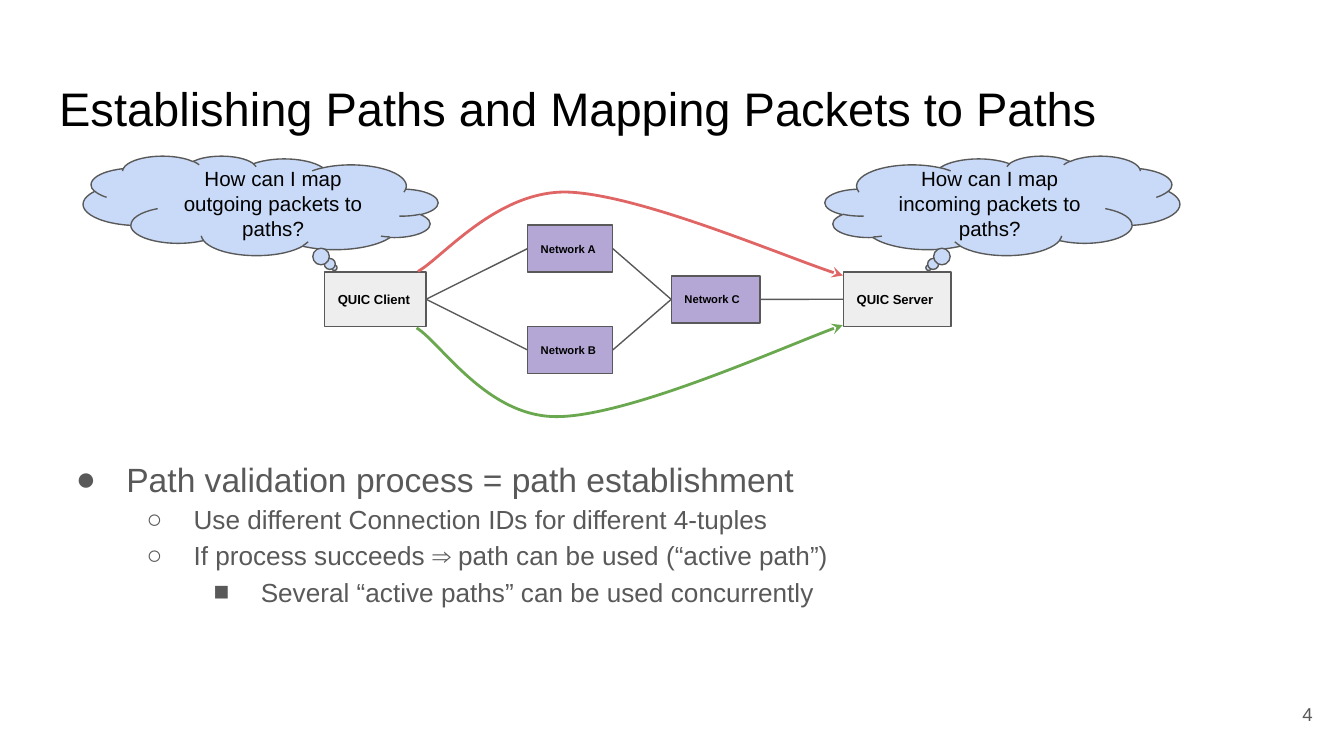
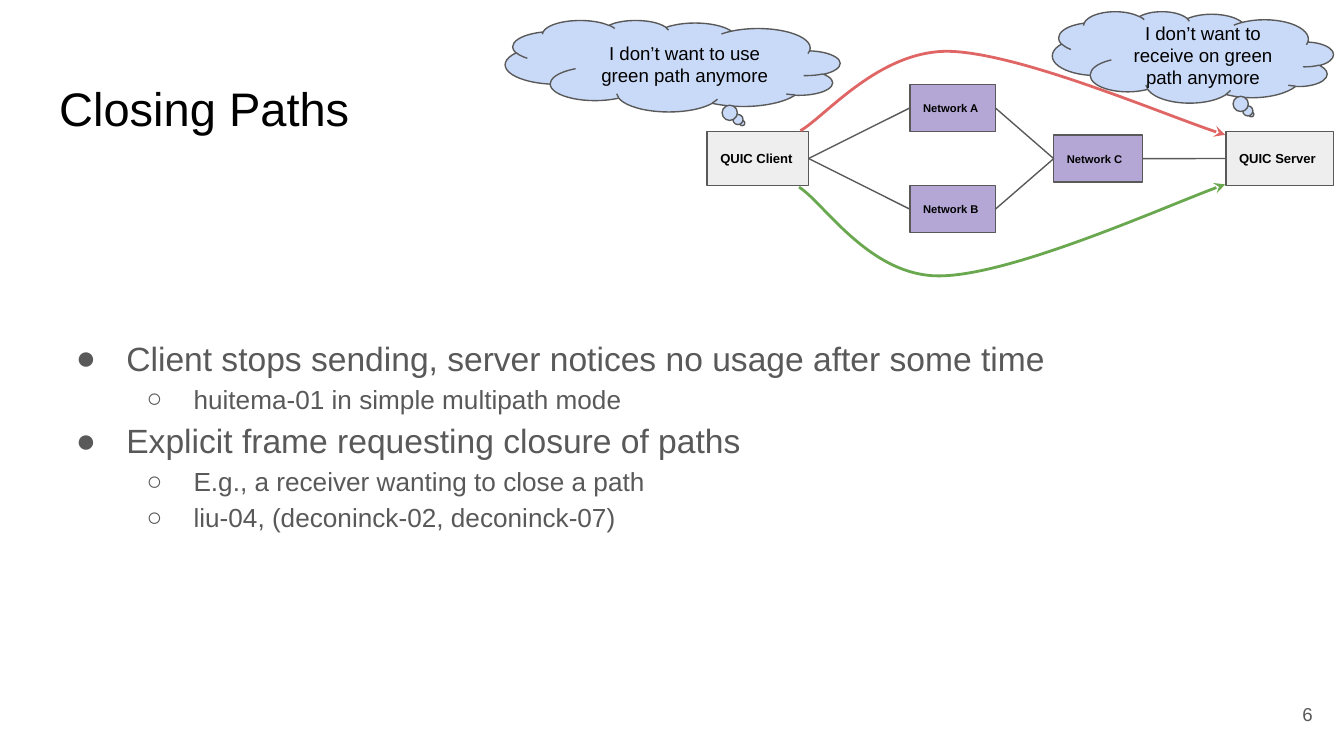
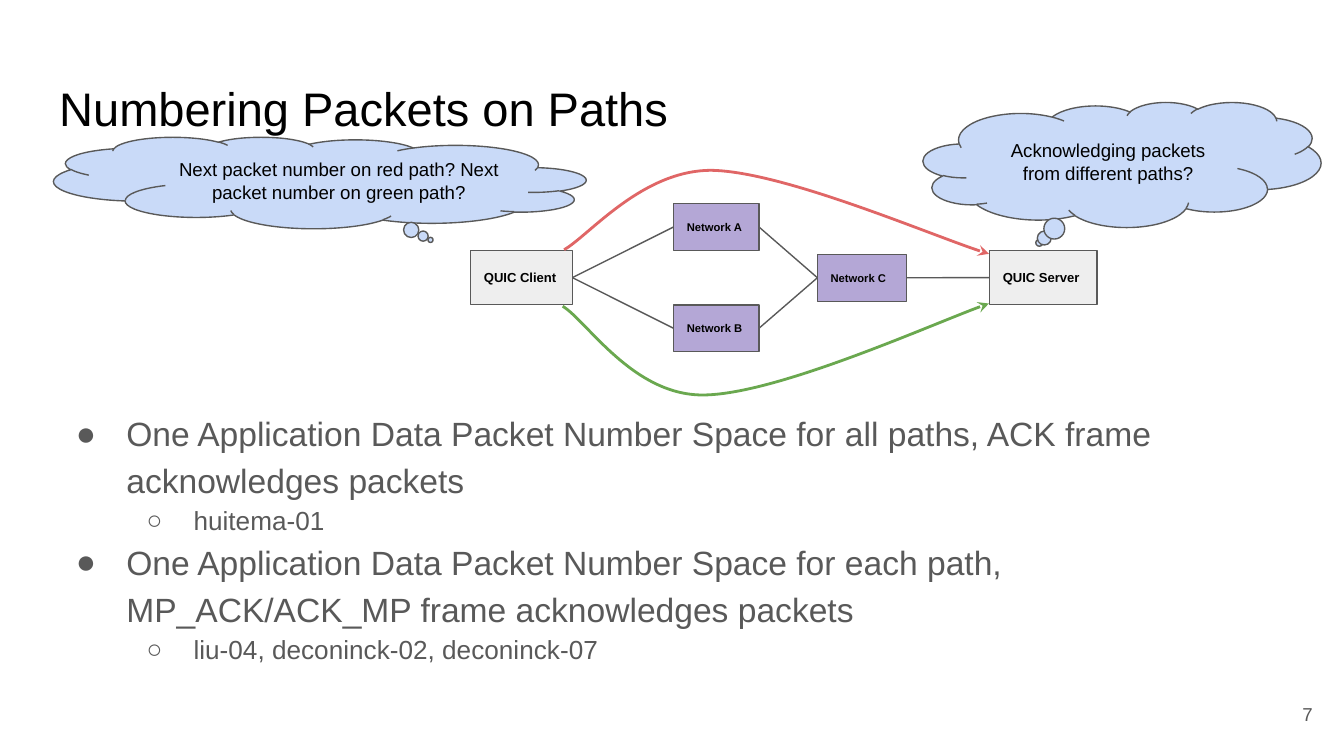
from dataclasses import dataclass
from typing import Any, NamedTuple

from lxml.etree import SubElement
from pptx import Presentation
from pptx.dml.color import RGBColor
from pptx.enum.shapes import MSO_CONNECTOR, MSO_SHAPE
from pptx.enum.text import MSO_ANCHOR, MSO_AUTO_SIZE, PP_ALIGN
from pptx.oxml.ns import qn
from pptx.util import Pt

BLACK = RGBColor(0x00, 0x00, 0x00)
GREY = RGBColor(0x59, 0x59, 0x59)
HOST_FILL = RGBColor(0xEE, 0xEE, 0xEE)
NETWORK_FILL = RGBColor(0xB4, 0xA7, 0xD6)
CLOUD_FILL = RGBColor(0xC9, 0xDA, 0xF8)
RED = RGBColor(0xE0, 0x66, 0x66)
GREEN = RGBColor(0x6A, 0xA8, 0x4F)

FONT = "Arial"
LINE_WIDTH = 0.75
TOP, LEFT, RIGHT = 0, 1, 3
FRAME = {
    "word_wrap": True,
    "auto_size": MSO_AUTO_SIZE.NONE,
    "margin_left": Pt(7.2),
    "margin_right": Pt(7.2),
    "margin_top": Pt(7.2),
    "margin_bottom": Pt(7.2),
}


class Box(NamedTuple):
    x: float
    y: float
    w: float
    h: float


class Level(NamedTuple):
    bullet: str
    size: float
    margin: float
    hanging: float


class Item(NamedTuple):
    level: int
    text: str


@dataclass(frozen=True)
class Node:
    text: str
    box: Box
    fill: RGBColor
    size: float


@dataclass(frozen=True)
class Curve:
    color: RGBColor
    points: tuple[tuple[float, float], ...]


@dataclass(frozen=True)
class Cloud:
    text: str
    box: Box
    size: float = 10
    flipped: bool = True


@dataclass(frozen=True)
class Page:
    number: int
    title: str
    body_top: float
    body_height: float
    items: list[Item]
    origin: tuple[float, float]
    clouds: list[Cloud]


LEVELS = [
    Level("●", 18, 36, 27),
    Level("○", 14, 72, 25.2),
    Level("■", 14, 108, 25.2),
]

NODES = {
    "client": Node("QUIC Client", Box(0, 0, 54.4, 29.1), HOST_FILL, 7),
    "server": Node("QUIC Server", Box(278, 0, 57.6, 29.1), HOST_FILL, 7),
    "a": Node("Network A", Box(108.7, -25.2, 45.7, 25.2), NETWORK_FILL, 6),
    "b": Node("Network B", Box(108.7, 29.1, 45.7, 25.2), NETWORK_FILL, 6),
    "c": Node("Network C", Box(185.7, 2, 47.6, 25.2), NETWORK_FILL, 6),
}
LINKS = [("client", "a"), ("client", "b"), ("a", "c"), ("b", "c"), ("c", "server")]
CURVES = [
    Curve(RED, ((50, -0.4), (63, -7.6), (91.8, -43.2), (129.2, -42.9),
                (167.4, -42.1), (253, -5.4), (277.6, 1.8))),
    Curve(GREEN, ((49.3, 29.9), (62.3, 37.8), (86.8, 77.4), (124.2, 77.4),
                  (162.4, 77.4), (252.4, 37.1), (277.6, 28.4))),
]

PAGES = [
    Page(
        4, "Establishing Paths and Mapping Packets to Paths", 235.4, 149,
        [
            Item(0, "Path validation process = path establishment"),
            Item(1, "Use different Connection IDs for different 4-tuples"),
            Item(1, "If process succeeds ⇒ path can be used (“active path”)"),
            Item(2, "Several “active paths” can be used concurrently"),
        ],
        (173.9, 145.8),
        [
            Cloud("How can I map incoming packets to paths?",
                  Box(442, 83.5, 190, 53.3), 11, False),
            Cloud("How can I map outgoing packets to paths?",
                  Box(44.6, 83.5, 190, 53.3), 11),
        ],
    ),
    Page(
        6, "Closing Paths", 170.6, 216.7,
        [
            Item(0, "Client stops sending, server notices no usage after some time"),
            Item(1, "huitema-01 in simple multipath mode"),
            Item(0, "Explicit frame requesting closure of paths"),
            Item(1, "E.g., a receiver wanting to close a path"),
            Item(1, "liu-04, (deconinck-02, deconinck-07)"),
        ],
        (378.8, 70.4),
        [
            Cloud("I don’t want to use green path anymore",
                  Box(270.7, 10.8, 179.3, 49)),
            Cloud("I don’t want to receive on green path anymore",
                  Box(563.8, 6.1, 150.5, 49)),
        ],
    ),
    Page(
        7, "Numbering Packets on Paths", 211, 167,
        [
            Item(0, "One Application Data Packet Number Space for all paths, "
                    "ACK frame acknowledges packets"),
            Item(1, "huitema-01"),
            Item(0, "One Application Data Packet Number Space for each path, "
                    "MP_ACK/ACK_MP frame acknowledges packets"),
            Item(1, "liu-04, deconinck-02, deconinck-07"),
        ],
        (252.2, 134.2),
        [
            Cloud("Next packet number on red path? Next packet number on green path?",
                  Box(28.8, 73.4, 285.1, 49)),
            Cloud("Acknowledging packets from different paths?",
                  Box(494.6, 54.7, 213.1, 67), flipped=False),
        ],
    ),
]


def apply(target: Any, values: dict[str, Any]) -> None:
    for name, value in values.items():
        setattr(target, name, value)


def points(box: Box) -> list[int]:
    return [Pt(v) for v in box]


def place(sp: Any, box: Box) -> None:
    apply(sp, dict(zip(("left", "top", "width", "height"), points(box))))


def write(p: Any, text: str, size: float, color: RGBColor,
          align: PP_ALIGN = PP_ALIGN.LEFT, bold: bool = False) -> None:
    p.alignment = align
    r = p.add_run()
    r.text = text
    apply(r.font, {"name": FONT, "size": Pt(size), "bold": bold})
    r.font.color.rgb = color


def frame(sp: Any, anchor: MSO_ANCHOR) -> Any:
    tf = sp.text_frame
    apply(tf, {**FRAME, "vertical_anchor": anchor})
    return tf


def stroke(sp: Any, color: RGBColor, width: float = LINE_WIDTH) -> None:
    sp.line.width = Pt(width)
    sp.line.color.rgb = color


def add_filled(shapes: Any, kind: MSO_SHAPE, box: Box, fill: RGBColor) -> Any:
    sp = shapes.add_shape(kind, *points(box))
    sp.shadow.inherit = False
    sp.fill.solid()
    sp.fill.fore_color.rgb = fill
    stroke(sp, GREY)
    return sp


def add_title(s: Any, text: str) -> None:
    sp = s.shapes.title
    place(sp, Box(24.5, 35.3, 671, 45.4))
    write(frame(sp, MSO_ANCHOR.TOP).paragraphs[0], text, 25.2, BLACK)


def add_list(s: Any, page: Page) -> None:
    sp = s.placeholders[1]
    place(sp, Box(24.5, page.body_top, 671, page.body_height))
    tf = frame(sp, MSO_ANCHOR.TOP)
    for i, item in enumerate(page.items):
        level = LEVELS[item.level]
        p = tf.add_paragraph() if i else tf.paragraphs[0]
        apply(p, {"level": item.level, "line_spacing": 1.15,
                  "space_before": Pt(0), "space_after": Pt(0)})
        write(p, item.text, level.size, GREY)
        pPr = p._p.get_or_add_pPr()
        pPr.set("marL", str(Pt(level.margin)))
        pPr.set("indent", str(-Pt(level.hanging)))
        SubElement(SubElement(pPr, qn("a:buClr")), qn("a:srgbClr"), val=str(GREY))
        SubElement(pPr, qn("a:buFont"), typeface=FONT)
        SubElement(pPr, qn("a:buChar"), char=level.bullet)


def add_network(s: Any, x: float, y: float) -> None:
    group = s.shapes.add_group_shape()
    placed = {}
    for key, node in NODES.items():
        box = node.box._replace(x=x + node.box.x, y=y + node.box.y)
        sp = add_filled(group.shapes, MSO_SHAPE.RECTANGLE, box, node.fill)
        tf = frame(sp, MSO_ANCHOR.MIDDLE)
        write(tf.paragraphs[0], node.text, node.size, BLACK, bold=True)
        placed[key] = sp
    for begin, end in LINKS:
        a, b = placed[begin], placed[end]
        cxn = group.shapes.add_connector(
            MSO_CONNECTOR.STRAIGHT, a.left + a.width, a.top + a.height // 2,
            b.left, b.top + b.height // 2)
        cxn.begin_connect(a, RIGHT)
        cxn.end_connect(b, LEFT)
        stroke(cxn, GREY)
        SubElement(cxn.element.spPr, qn("a:effectLst"))


def add_curve(s: Any, curve: Curve, x: float, y: float) -> None:
    start, *rest = [(Pt(x + dx), Pt(y + dy)) for dx, dy in curve.points]
    builder = s.shapes.build_freeform(*start)
    builder.add_line_segments(rest, close=False)
    sp = builder.convert_to_shape()
    sp.shadow.inherit = False
    sp.fill.background()
    stroke(sp, curve.color, 1.5)
    segments = list(sp.element.iter(qn("a:lnTo")))
    outline = segments[0].getparent()
    for i in range(0, len(segments), 3):
        bezier = SubElement(outline, qn("a:cubicBezTo"))
        for segment in segments[i:i + 3]:
            bezier.append(segment[0])
            outline.remove(segment)
    ln = sp.element.spPr.find(qn("a:ln"))
    SubElement(ln, qn("a:tailEnd"), type="stealth", w="med", len="med")


def add_cloud(s: Any, cloud: Cloud) -> None:
    sp = add_filled(s.shapes, MSO_SHAPE.CLOUD_CALLOUT, cloud.box, CLOUD_FILL)
    sp.adjustments[0] = -0.208
    sp.adjustments[1] = 0.625
    if cloud.flipped:
        sp.element.spPr.find(qn("a:xfrm")).set("flipH", "1")
    tf = frame(sp, MSO_ANCHOR.MIDDLE)
    write(tf.paragraphs[0], cloud.text, cloud.size, BLACK, PP_ALIGN.CENTER)


def add_number(s: Any, number: int) -> None:
    sp = s.shapes.add_textbox(*points(Box(667.2, 367.2, 43.2, 31)))
    tf = frame(sp, MSO_ANCHOR.MIDDLE)
    write(tf.paragraphs[0], str(number), 10, GREY, PP_ALIGN.RIGHT)


def add_page(prs: Any, page: Page) -> None:
    s = prs.slides.add_slide(prs.slide_layouts[1])
    add_title(s, page.title)
    add_list(s, page)
    add_network(s, *page.origin)
    for curve in CURVES:
        add_curve(s, curve, *page.origin)
    for cloud in page.clouds:
        add_cloud(s, cloud)
    add_number(s, page.number)


def main() -> None:
    prs = Presentation()
    apply(prs, {"slide_width": Pt(720), "slide_height": Pt(405)})
    for page in PAGES:
        add_page(prs, page)
    prs.save("out.pptx")


if __name__ == "__main__":
    main()
